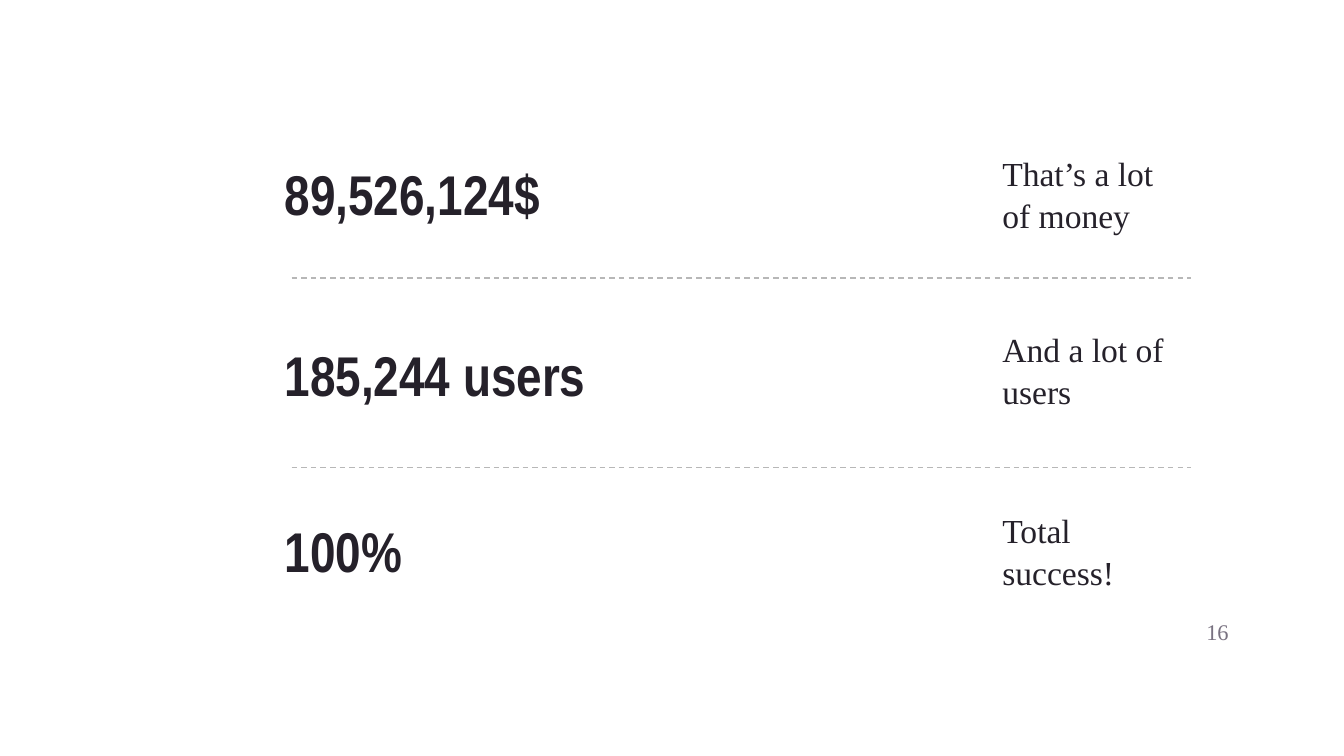
"""Build a slide of three key figures with captions and dashed dividers."""
from pptx import Presentation
from pptx.dml.color import RGBColor
from pptx.enum.dml import MSO_LINE
from pptx.enum.shapes import MSO_CONNECTOR
from pptx.enum.text import MSO_ANCHOR, PP_ALIGN
from pptx.oxml.ns import qn
from pptx.util import Pt

DASH = MSO_LINE.DASH
STRAIGHT = MSO_CONNECTOR.STRAIGHT
MIDDLE = MSO_ANCHOR.MIDDLE
LEFT, RIGHT = PP_ALIGN.LEFT, PP_ALIGN.RIGHT

INK = RGBColor(0x25, 0x21, 0x2A)
MUTED = RGBColor(0x79, 0x72, 0x81)
DIVIDER = RGBColor(0xB7, 0xB7, 0xB7)
HEADING_FONT = "Arial Narrow"
BODY_FONT = "Times New Roman"

ROWS = [
    ("89,526,124$", 69.8, "That’s a lot of money", 85),
    ("185,244 users", 167, "And a lot of users", 179.3),
    ("100%", 261.4, "Total success!", 276.5),
]
DIVIDER_TOPS = [149, 250.6]
DIVIDER_LEFT, DIVIDER_RIGHT = 156.2, 637.9
PAGE_NUMBER = "16"


def add_text(slide, text, box, font_name, size, color, bold=False, align=LEFT, spacing=1.0):
    shape = slide.shapes.add_textbox(*map(Pt, box))
    frame = shape.text_frame
    frame.word_wrap = True
    frame.vertical_anchor = MIDDLE
    frame.margin_left = frame.margin_right = Pt(7.2)
    frame.margin_top = frame.margin_bottom = Pt(7.2)
    paragraph = frame.paragraphs[0]
    paragraph.text = text
    paragraph.alignment = align
    paragraph.line_spacing = spacing
    font = paragraph.font
    font.name, font.size, font.bold = font_name, Pt(size), bold
    font.color.rgb = color


def add_divider(slide, top):
    line = slide.shapes.add_connector(
        STRAIGHT, Pt(DIVIDER_LEFT), Pt(top), Pt(DIVIDER_RIGHT), Pt(top)
    )
    line.line.color.rgb = DIVIDER
    line.line.width = Pt(0.75)
    line.line.dash_style = DASH
    properties = line.element.spPr
    properties.append(properties.makeelement(qn("a:effectLst"), {}))


def main():
    presentation = Presentation()
    presentation.slide_width, presentation.slide_height = Pt(720), Pt(405)
    slide = presentation.slides.add_slide(presentation.slide_layouts[6])
    for figure, figure_top, caption, caption_top in ROWS:
        add_text(slide, figure, (145.4, figure_top, 472.3, 67), HEADING_FONT, 30, INK, bold=True)
        add_text(slide, caption, (529.9, caption_top, 105.1, 36.7), BODY_FONT, 18, INK, spacing=1.05)
    add_text(slide, PAGE_NUMBER, (622.1, 322.6, 43.2, 31), BODY_FONT, 12, MUTED, align=RIGHT)
    for top in DIVIDER_TOPS:
        add_divider(slide, top)
    presentation.save("out.pptx")


if __name__ == "__main__":
    main()
